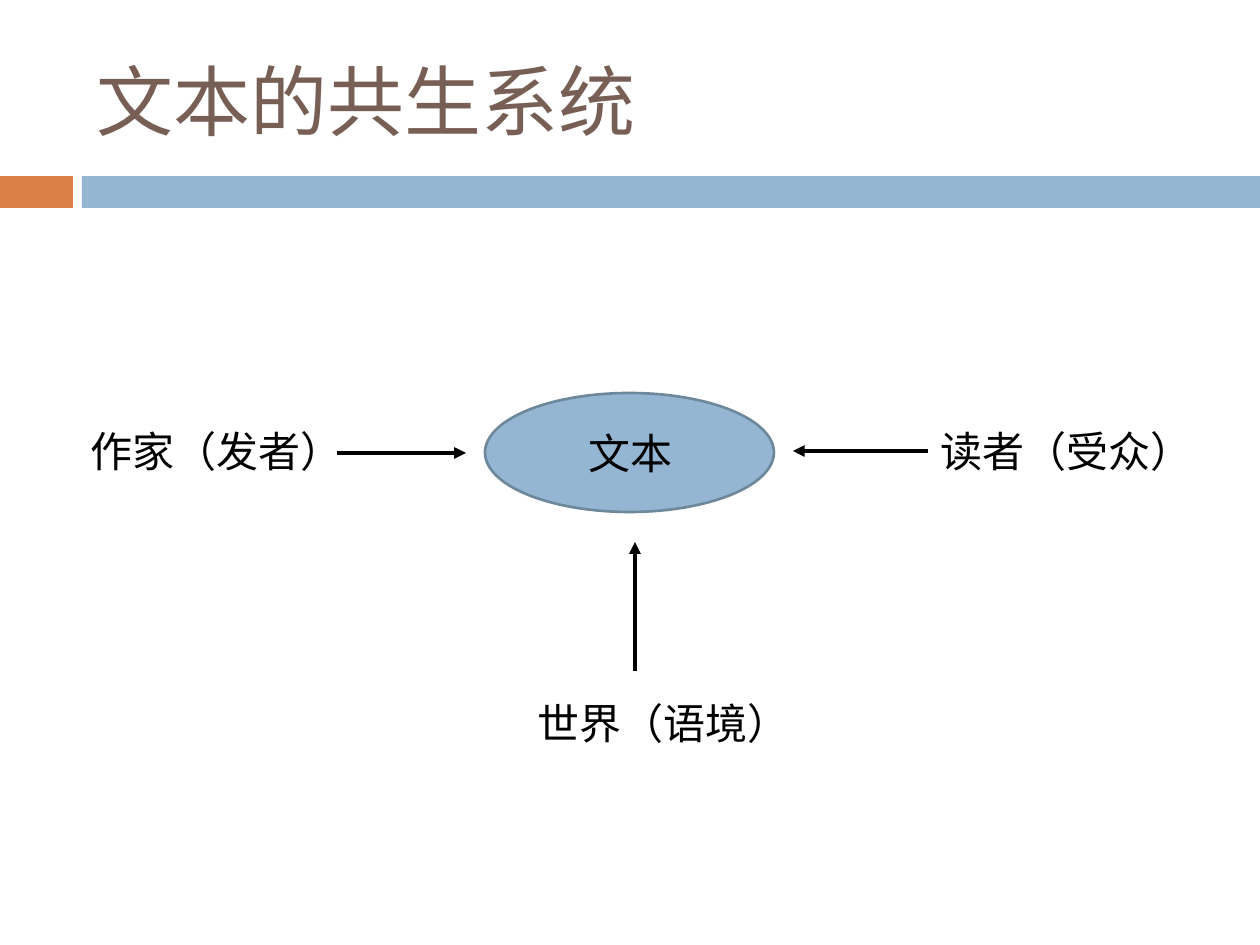
from lxml import etree
from pptx import Presentation, util as u
from pptx.dml.color import RGBColor
from pptx.enum import shapes, text
from pptx.oxml.ns import qn

COLORS = {"orange": "DD8047", "blue": "94B6D2", "outline": "6D879B",
          "title": "775F55", "ink": "000000"}
FONT = "Lato"


def px(*lengths):
    return [u.Inches(n / 126) for n in lengths]


def write(shape, words, size, color, align, frame_values):
    frame = shape.text_frame
    frame.text = words
    for name, value in frame_values.items():
        setattr(frame, name, value)
    paragraph = frame.paragraphs[0]
    paragraph.alignment = align
    font = paragraph.runs[0].font
    for name, value in {"name": FONT, "size": u.Pt(size), "bold": False}.items():
        setattr(font, name, value)
    font.color.rgb = RGBColor.from_string(COLORS[color])


prs = Presentation()
prs.slide_width, prs.slide_height = px(1260, 945)
slide = prs.slides.add_slide(prs.slide_layouts[5])

# Header bars and the central ellipse
for kind, box, fill, outline in [
    (shapes.MSO_SHAPE.RECTANGLE, (0, 176, 73, 32), "orange", None),
    (shapes.MSO_SHAPE.RECTANGLE, (82, 176, 1178, 32), "blue", None),
    (shapes.MSO_SHAPE.OVAL, (485, 393, 289, 119), "blue", "outline"),
]:
    shape = slide.shapes.add_shape(kind, *px(*box))
    shape.shadow.inherit = False
    shape.fill.solid()
    shape.fill.fore_color.rgb = RGBColor.from_string(COLORS[fill])
    if outline:
        shape.line.color.rgb = RGBColor.from_string(COLORS[outline])
        shape.line.width = u.Pt(1.5)
    else:
        shape.line.fill.background()

# Title
title = slide.shapes.title
title.left, title.top, title.width, title.height = px(84, 32, 1124, 136)
write(title, "文本的共生系统", 44, "title", text.PP_ALIGN.LEFT,
      {"vertical_anchor": text.MSO_ANCHOR.MIDDLE, "word_wrap": True})

# Text at the centre and the three parties around it
for words, box, align, wrap in [
    ("文本", (514, 421, 232, 63), text.PP_ALIGN.CENTER, True),
    ("作家（发者）", (78, 419, 280, 63), text.PP_ALIGN.LEFT, False),
    ("世界（语境）", (525, 691, 280, 63), text.PP_ALIGN.LEFT, False),
    ("读者（受众）", (928, 419, 280, 63), text.PP_ALIGN.LEFT, False),
]:
    label = slide.shapes.add_textbox(*px(*box))
    write(label, words, 24, "ink", align,
          {"word_wrap": wrap, "auto_size": text.MSO_AUTO_SIZE.SHAPE_TO_FIT_TEXT})

# Arrows pointing at the text
for ends in [(337, 453, 466, 453), (928, 451, 793, 451), (635, 671, 635, 542)]:
    arrow = slide.shapes.add_connector(shapes.MSO_CONNECTOR.STRAIGHT, *px(*ends))
    arrow.line.color.rgb = RGBColor.from_string(COLORS["ink"])
    arrow.line.width = u.Pt(2.25)
    etree.SubElement(arrow.line._get_or_add_ln(), qn("a:tailEnd"), type="triangle")
    etree.SubElement(arrow._element.spPr, qn("a:effectLst"))

prs.save("out.pptx")
